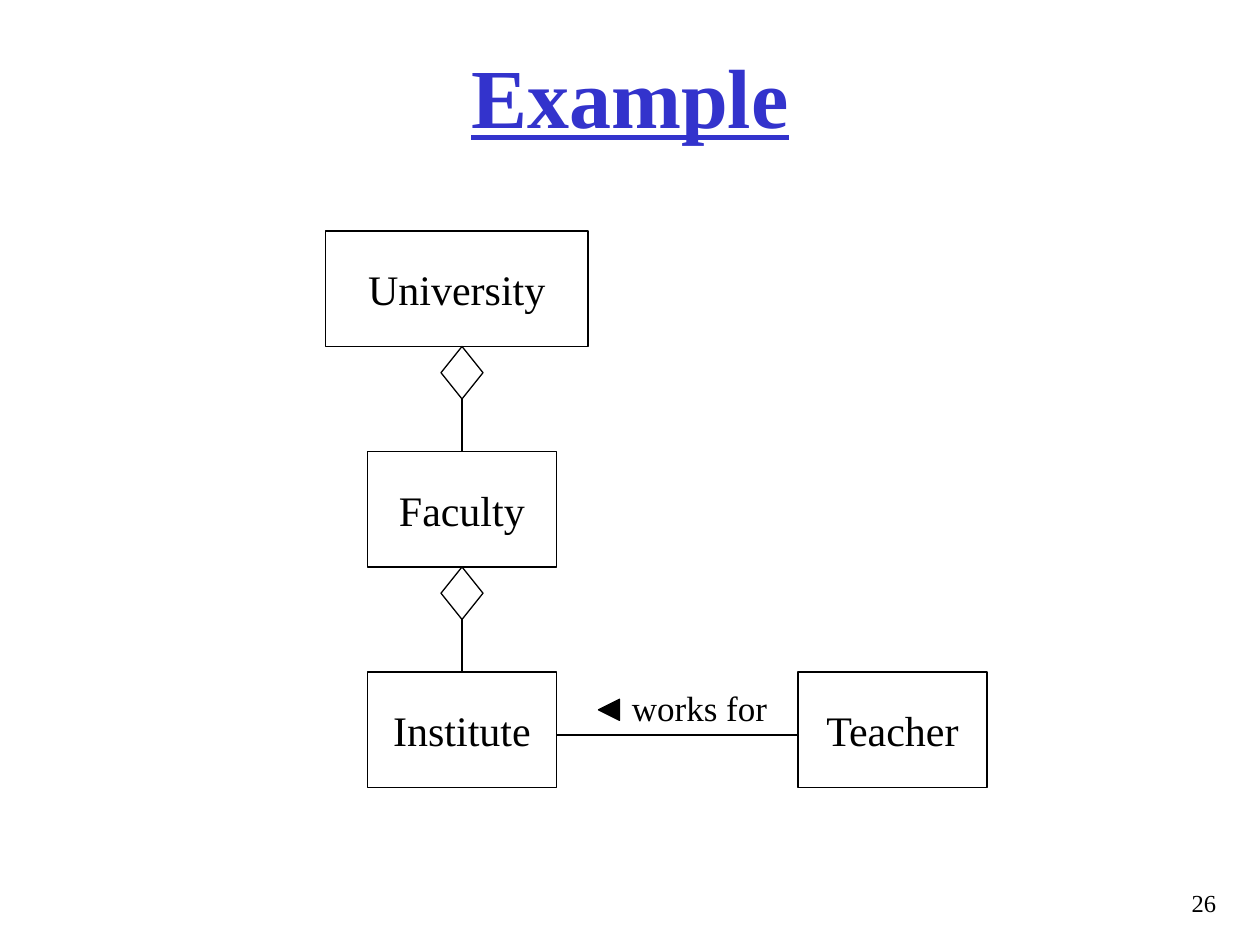
from pptx import Presentation
from pptx.dml.color import RGBColor
from pptx.enum.shapes import MSO_CONNECTOR, MSO_SHAPE
from pptx.enum.text import MSO_ANCHOR, MSO_AUTO_SIZE, PP_ALIGN
from pptx.oxml.ns import qn
from pptx.util import Pt
from lxml import etree

PX = 7620
BLUE = RGBColor(0x33, 0x33, 0xCC)
BLACK = RGBColor(0, 0, 0)
WHITE = RGBColor(255, 255, 255)
FONT = "Times New Roman"
RECT, DIAMOND = MSO_SHAPE.RECTANGLE, MSO_SHAPE.DIAMOND
TRIANGLE = MSO_SHAPE.ISOSCELES_TRIANGLE
STRAIGHT = MSO_CONNECTOR.STRAIGHT
TOP, MIDDLE = MSO_ANCHOR.TOP, MSO_ANCHOR.MIDDLE
GROW = MSO_AUTO_SIZE.SHAPE_TO_FIT_TEXT
LEFT, CENTER, RIGHT = PP_ALIGN.LEFT, PP_ALIGN.CENTER, PP_ALIGN.RIGHT
CLASS_W, CLASS_H = 180, 110
DIAMOND_W, DIAMOND_H = 40, 50
STEP = 210


def emu(*lengths):
    return [n * PX for n in lengths]


def set_text(sp, text, size, align, anchor=TOP, color=BLACK, wrap=True):
    tf = sp.text_frame
    tf.word_wrap = wrap
    tf.vertical_anchor = anchor
    p = tf.paragraphs[0]
    p.text = text
    p.alignment = align
    p.font.name = FONT
    p.font.size = Pt(size)
    p.font.color.rgb = color
    return p


def add_text(s, box, text, size, align, **options):
    sp = s.shapes.add_textbox(*emu(*box))
    set_text(sp, text, size, align, **options)
    return sp


def add_outlined(s, kind, box, fill=WHITE):
    sp = s.shapes.add_shape(kind, *emu(*box))
    sp.shadow.inherit = False
    sp.fill.solid()
    sp.fill.fore_color.rgb = fill
    sp.line.color.rgb = BLACK
    sp.line.width = Pt(0.75)
    return sp


def add_line(s, x1, y1, x2, y2):
    line = s.shapes.add_connector(STRAIGHT, *emu(x1, y1, x2, y2))
    line.line.color.rgb = BLACK
    line.line.width = Pt(0.75)
    etree.SubElement(line._element.spPr, qn("a:effectLst"))
    return line


def add_class(s, name, x, y, w=CLASS_W):
    sp = add_outlined(s, RECT, (x, y, w, CLASS_H))
    set_text(sp, name, 24, CENTER, anchor=MIDDLE, wrap=False)
    return sp


def add_aggregation(s, part, x, top, bottom):
    diamond = add_outlined(
        s, DIAMOND, (x - DIAMOND_W // 2, top, DIAMOND_W, DIAMOND_H))
    line = add_line(s, x, top + DIAMOND_H, x, bottom)
    line.begin_connect(diamond, 2)
    line.end_connect(part, 0)


def add_association(s, label, x, y, w):
    add_line(s, x, y, x + w, y)
    sp = add_text(s, (x + 60, y - 52, 154, 53), label, 20, LEFT, wrap=False)
    sp.text_frame.auto_size = GROW
    arrow = add_outlined(s, TRIANGLE, (x + 40, y - 34, 20, 20), fill=BLACK)
    arrow.rotation = 270


def add_title(s, box, text):
    sp = add_text(s, box, text, 48, CENTER, anchor=MIDDLE, color=BLUE)
    font = sp.text_frame.paragraphs[0].font
    font.bold = True
    font.underline = True


def add_diagram(s, x, y):
    axis = x + 130
    part_x = axis - CLASS_W // 2
    add_class(s, "University", x, y, w=250)
    for i, name in enumerate(("Faculty", "Institute"), start=1):
        part_y = y + i * STEP
        part = add_class(s, name, part_x, part_y)
        add_aggregation(s, part, axis, part_y - STEP + CLASS_H, part_y)
    bottom_y = y + 2 * STEP
    gap = 230
    institute_right = part_x + CLASS_W
    add_class(s, "Teacher", institute_right + gap, bottom_y)
    add_association(s, "works for", institute_right, bottom_y + 60, gap)


def main():
    prs = Presentation()
    prs.slide_width, prs.slide_height = emu(1200, 900)
    s = prs.slides.add_slide(prs.slide_layouts[6])
    add_title(s, (90, 30, 1020, 120), "Example")
    add_diagram(s, 310, 220)
    add_text(s, (560, 840, 610, 40), "26", 14, RIGHT)
    prs.save("out.pptx")


if __name__ == "__main__":
    main()
